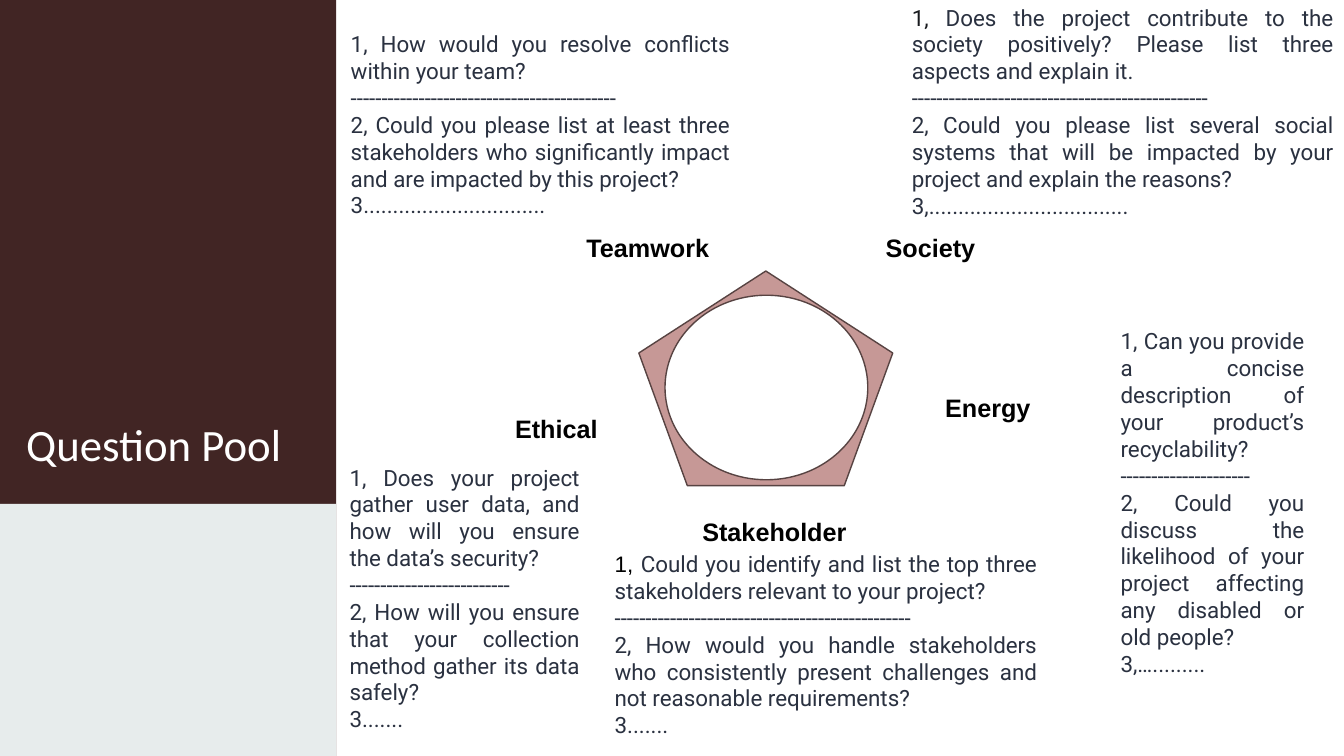
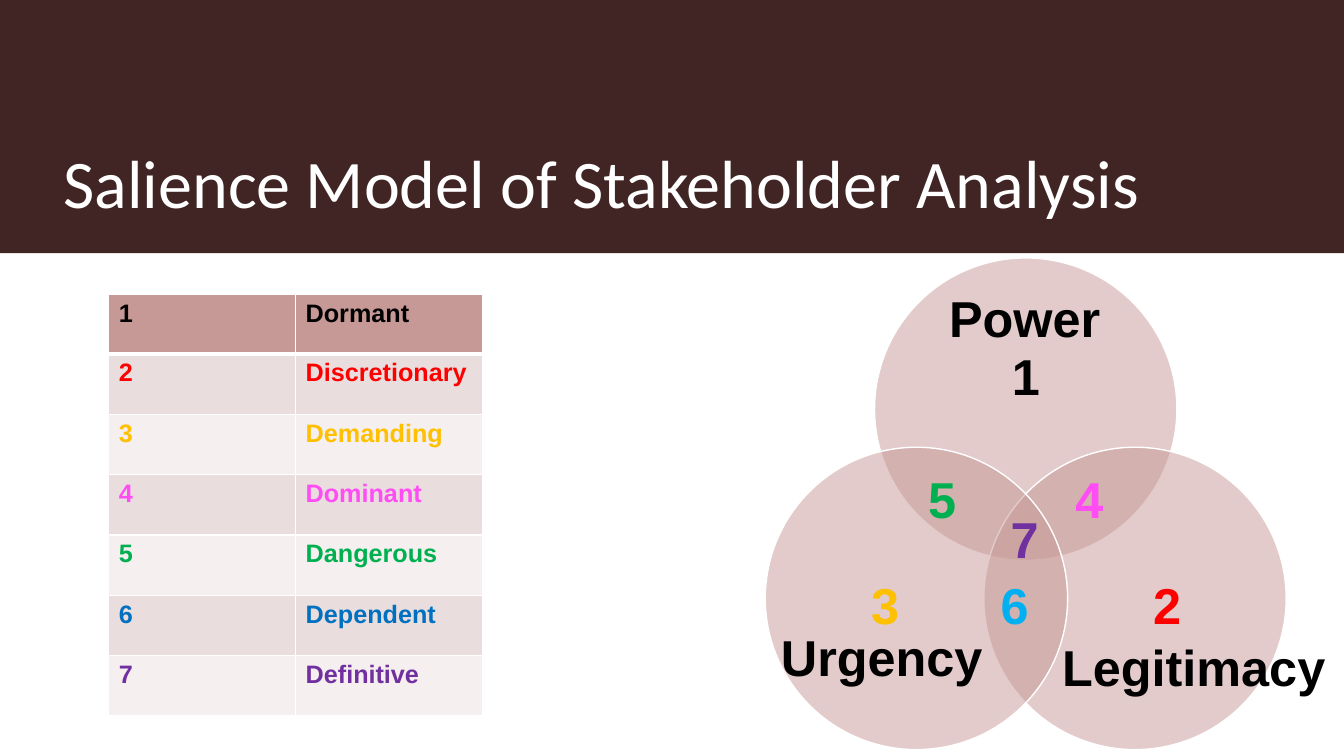
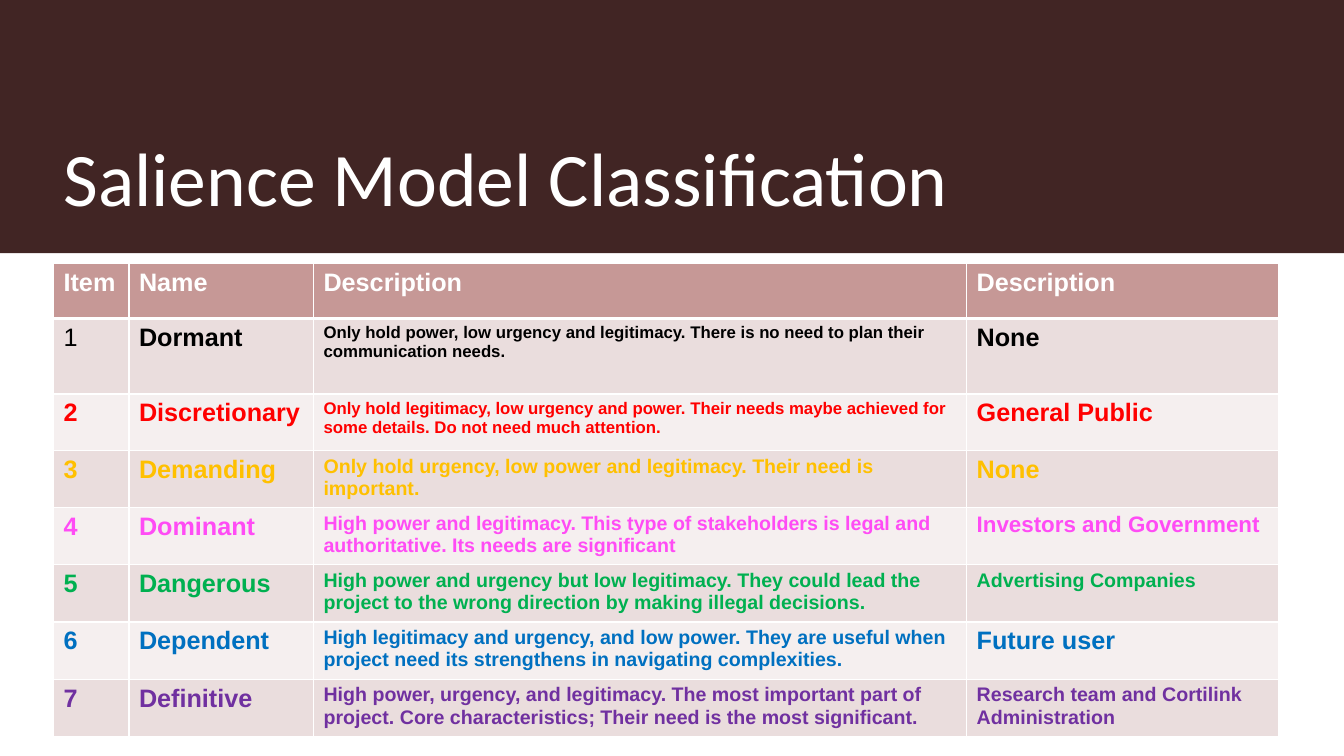
import math
from dataclasses import dataclass

from lxml import etree
from pptx import Presentation
from pptx.dml.color import RGBColor
from pptx.enum import shapes, text
from pptx.oxml import ns
from pptx.util import Cm, Pt


@dataclass(frozen=True)
class Theme:
    dark: str = "412524"
    rose: str = "C69896"
    outline: str = "574342"
    mist: str = "E2E8E8"
    bands: tuple = ("F5EFEF", "EADDDD")
    white: str = "FFFFFF"
    black: str = "000000"
    slate: str = "2A3140"
    ink: str = "181A1E"
    title_font: str = "Calibri"
    body_font: str = "Arial"
    question_font: str = "Roboto"
    side_title: float = 32
    question: float = 16
    label: float = 18
    diagram: float = 36


THEME = Theme()
SLIDE_WIDTH, SLIDE_HEIGHT = 33.87, 19.05
BAND_HEIGHT = 6.38
SIDE_WIDTH, SIDE_SPLIT = 8.47, 12.7
TITLE_BOX = (1.35, 1.02, 30.2, 4.7)

CATEGORIES = [
    ("1", "Dormant", THEME.black),
    ("2", "Discretionary", "FF0000"),
    ("3", "Demanding", "FFC000"),
    ("4", "Dominant", "FF4CF5"),
    ("5", "Dangerous", "00B050"),
    ("6", "Dependent", "0070C0"),
    ("7", "Definitive", "7030A0"),
]
COLOURS = {number: colour for number, _, colour in CATEGORIES}

TOPICS = [
    ("Ethical", (12.73, 10.29, 3.91, 1.02)),
    ("Stakeholder", (17.45, 12.88, 4.95, 1.02)),
    ("Society", (22.07, 5.72, 3.91, 1.02)),
    ("Teamwork", (14.53, 5.72, 3.91, 1.02)),
    ("Energy", (23.57, 9.75, 7.62, 1.02)),
]

PLAIN_LEAD = (THEME.question_font, THEME.slate)
QUESTIONS = [
    ((15.24, 13.74, 11.15, 5.05), (THEME.body_font, THEME.black), [
        "Could you identify and list the top three stakeholders relevant to your project?",
        "-" * 48,
        "2, How would you handle stakeholders who consistently present challenges "
        "and not reasonable requirements?",
        "3......."]),
    ((8.56, 11.56, 6.3, 7.09), PLAIN_LEAD, [
        "Does your project gather user data, and how will you ensure the data’s security?",
        "-" * 26,
        "2, How will you ensure that your collection method gather its data safely?",
        "3......."]),
    ((22.73, -0.03, 11.13, 6.4), (THEME.question_font, THEME.ink), [
        "Does the project contribute to the society positively? "
        "Please list three aspects and explain it.",
        "-" * 48,
        "2, Could you please list several social systems that will be impacted "
        "by your project and explain the reasons?",
        "3,.................................."]),
    ((8.59, 0.64, 10.06, 5.05), PLAIN_LEAD, [
        "How would you resolve conflicts within your team?",
        "-" * 43,
        "2, Could you please list at least three stakeholders who significantly impact "
        "and are impacted by this project?",
        "3..............................."]),
    ((27.99, 8.13, 5.13, 9.14), PLAIN_LEAD, [
        "Can you provide a concise description of your product’s recyclability?",
        "-" * 21,
        "2, Could you discuss the likelihood of your project affecting any disabled "
        "or old people?",
        "3,…........."]),
]

VENN_CENTRE, VENN_RADIUS, VENN_DIAMETER = (25.85, 13.49), 3.18, 7.62
CIRCLE_NUMBERS = [
    ("1", (23.06, 7.85, 5.59, 3.43)),
    ("2", (27.13, 13.23, 4.57, 4.19)),
    ("3", (20.02, 13.23, 4.57, 4.19)),
]
VENN_LABELS = [
    ("5", (23.14, 11.66, 2.44, 1.8), COLOURS["5"]),
    ("4", (26.85, 11.68, 2.44, 1.8), COLOURS["4"]),
    ("6", (24.97, 14.35, 2.44, 1.8), "00B0F0"),
    ("7", (25.22, 12.67, 2.44, 1.8), COLOURS["7"]),
    ("Power", (23.67, 7.11, 4.88, 1.8), THEME.black),
    ("Urgency", (19.43, 15.65, 7.11, 1.8), THEME.black),
    ("Legitimacy", (26.52, 15.9, 7.85, 1.8), THEME.black),
]

HEADINGS = ["Item", "Name", "Description", "Description"]
DETAILS = [
    ("Only hold power, low urgency and legitimacy. There is no need to plan their "
     "communication needs.", 12, "None", 18),
    ("Only hold legitimacy, low urgency and power. Their needs maybe achieved for some "
     "details. Do not need much attention.", 12, "General Public", 18),
    ("Only hold urgency, low power and legitimacy. Their need is important.",
     14, "None", 18),
    ("High power and legitimacy. This type of stakeholders is legal and authoritative. "
     "Its needs are significant", 14, "Investors and Government", 16),
    ("High power and urgency but low legitimacy. They could lead the project to the wrong "
     "direction by making illegal decisions.", 14, "Advertising Companies", 14),
    ("High legitimacy and urgency, and low power. They are useful when project need its "
     "strengthens in navigating complexities.", 14, "Future user", 18),
    ("High power, urgency, and legitimacy. The most important part of project. Core "
     "characteristics; Their need is the most significant.",
     14, "Research team and Cortilink Administration", 14),
]


def lengths(box):
    return [Cm(value) for value in box]


def style(run, size, colour, font=THEME.body_font, bold=False):
    run.font.size = Pt(size)
    run.font.name = font
    run.font.bold = bold
    run.font.color.rgb = RGBColor.from_string(colour)


def add_figure(slide, kind, box, fill, line=None, opacity=None):
    shape = slide.shapes.add_shape(kind, *lengths(box))
    shape.shadow.inherit = False
    shape.fill.solid()
    shape.fill.fore_color.rgb = RGBColor.from_string(fill)
    if opacity is not None:
        colour = shape.fill._xPr.find(".//" + ns.qn("a:srgbClr"))
        etree.SubElement(colour, ns.qn("a:alpha"), val=str(opacity * 1000))
    if line:
        shape.line.color.rgb = RGBColor.from_string(line)
        shape.line.width = Pt(1)
    else:
        shape.line.fill.background()


def add_frame(slide, box, anchor=text.MSO_ANCHOR.TOP):
    frame = slide.shapes.add_textbox(*lengths(box)).text_frame
    frame.word_wrap = True
    frame.vertical_anchor = anchor
    return frame


def add_label(slide, words, box, size, colour=THEME.black):
    frame = add_frame(slide, box)
    frame.text = words
    style(frame.paragraphs[0].runs[0], size, colour, bold=True)


def add_title(slide, words, box, size):
    frame = add_frame(slide, box, text.MSO_ANCHOR.BOTTOM)
    frame.text = words
    style(frame.paragraphs[0].runs[0], size, THEME.white, THEME.title_font)


def add_slide(presentation):
    return presentation.slides.add_slide(presentation.slide_layouts[6])


def add_banded_slide(presentation, title, size):
    slide = add_slide(presentation)
    add_figure(slide, shapes.MSO_SHAPE.RECTANGLE, (0, 0, SLIDE_WIDTH, BAND_HEIGHT), THEME.dark)
    add_title(slide, title, TITLE_BOX, size)
    return slide


def add_questions(slide, box, lead, lines):
    frame = add_frame(slide, box)
    for index, line in enumerate(lines):
        paragraph = frame.paragraphs[0] if index == 0 else frame.add_paragraph()
        paragraph.alignment = text.PP_ALIGN.JUSTIFY
        if index == 0:
            run = paragraph.add_run()
            run.text = "1, "
            style(run, THEME.question, lead[1], lead[0])
        run = paragraph.add_run()
        run.text = line
        style(run, THEME.question, THEME.slate, THEME.question_font)


def set_borders(cell, widths):
    properties = cell._tc.get_or_add_tcPr()
    for position, (side, width) in enumerate(widths.items()):
        line = etree.Element(ns.qn("a:ln" + side), w=str(Pt(width)))
        fill = etree.SubElement(line, ns.qn("a:solidFill"))
        etree.SubElement(fill, ns.qn("a:srgbClr"), val=THEME.white)
        properties.insert(position, line)


def add_grid(slide, corner, widths, heights, rows):
    box = (*corner, sum(widths), sum(heights))
    table = slide.shapes.add_table(len(rows), len(widths), *lengths(box)).table
    table.first_row = table.horz_banding = False
    for column, width in zip(table.columns, widths):
        column.width = Cm(width)
    for index, (height, entries) in enumerate(zip(heights, rows)):
        table.rows[index].height = Cm(height)
        for cell, (words, size, colour, bold) in zip(table.rows[index].cells, entries):
            cell.text = words
            style(cell.text_frame.paragraphs[0].runs[0], size, colour, bold=bold)
            cell.fill.solid()
            fill = THEME.bands[index % 2] if index else THEME.rose
            cell.fill.fore_color.rgb = RGBColor.from_string(fill)
            set_borders(cell, {"L": 1, "R": 1, "T": 3 if index == 1 else 1,
                               "B": 3 if index == 0 else 1})


def build_question_pool(presentation):
    slide = add_slide(presentation)
    rectangle = shapes.MSO_SHAPE.RECTANGLE
    lower_panel = (0, SIDE_SPLIT, SIDE_WIDTH, SLIDE_HEIGHT - SIDE_SPLIT)
    add_figure(slide, rectangle, (0, 0, SIDE_WIDTH, SLIDE_HEIGHT), THEME.dark)
    add_title(slide, "Question Pool", (0.41, 1.02, 7.47, 10.95), THEME.side_title)
    add_figure(slide, rectangle, lower_panel, THEME.mist)
    add_figure(slide, rectangle, lower_panel, THEME.white, opacity=20)
    for words, box in TOPICS:
        add_label(slide, words, box, THEME.label)
    for box, lead, lines in QUESTIONS:
        add_questions(slide, box, lead, lines)
    add_figure(slide, shapes.MSO_SHAPE.REGULAR_PENTAGON, (16.1, 6.83, 6.4, 5.41),
               THEME.rose, THEME.outline)
    add_figure(slide, shapes.MSO_SHAPE.OVAL, (16.76, 7.44, 5.11, 4.65),
               THEME.white, THEME.outline)


def build_salience_model(presentation):
    slide = add_banded_slide(presentation, "Salience Model of Stakeholder Analysis", 48.6)
    for angle, (number, number_box) in zip((-90, 30, 150), CIRCLE_NUMBERS):
        left = VENN_CENTRE[0] + VENN_RADIUS * math.cos(math.radians(angle)) - VENN_DIAMETER / 2
        top = VENN_CENTRE[1] + VENN_RADIUS * math.sin(math.radians(angle)) - VENN_DIAMETER / 2
        add_figure(slide, shapes.MSO_SHAPE.OVAL, (left, top, VENN_DIAMETER, VENN_DIAMETER),
                   THEME.rose, THEME.white, opacity=50)
        frame = add_frame(slide, number_box, text.MSO_ANCHOR.MIDDLE)
        frame.margin_left = frame.margin_right = frame.margin_top = frame.margin_bottom = 0
        frame.text = number
        paragraph = frame.paragraphs[0]
        paragraph.alignment = text.PP_ALIGN.CENTER
        paragraph.line_spacing = 0.9
        style(paragraph.runs[0], THEME.diagram, COLOURS[number], bold=True)
    for words, box, colour in VENN_LABELS:
        add_label(slide, words, box, THEME.diagram, colour)
    rows = [[(words, THEME.label, colour, True) for words in (number, name)]
            for number, name, colour in CATEGORIES]
    add_grid(slide, (2.74, 7.42), [4.71] * 2, [1.5] + [1.52] * 6, rows)


def build_classification(presentation):
    slide = add_banded_slide(presentation, "Salience Model Classification", 54)
    rows = [[(heading, THEME.label, THEME.white, True) for heading in HEADINGS]]
    for (number, name, colour), detail in zip(CATEGORIES, DETAILS):
        description, description_size, holder, holder_size = detail
        rows.append([(number, THEME.label, colour, number != "1"),
                     (name, THEME.label, colour, True),
                     (description, description_size, colour, True),
                     (holder, holder_size, colour, True)])
    add_grid(slide, (1.35, 6.63), [1.9, 4.65, 16.46, 7.85], [1.4, 1.9] + [1.42] * 6, rows)


presentation = Presentation()
presentation.slide_width = Cm(SLIDE_WIDTH)
presentation.slide_height = Cm(SLIDE_HEIGHT)
build_question_pool(presentation)
build_salience_model(presentation)
build_classification(presentation)
presentation.save("out.pptx")
